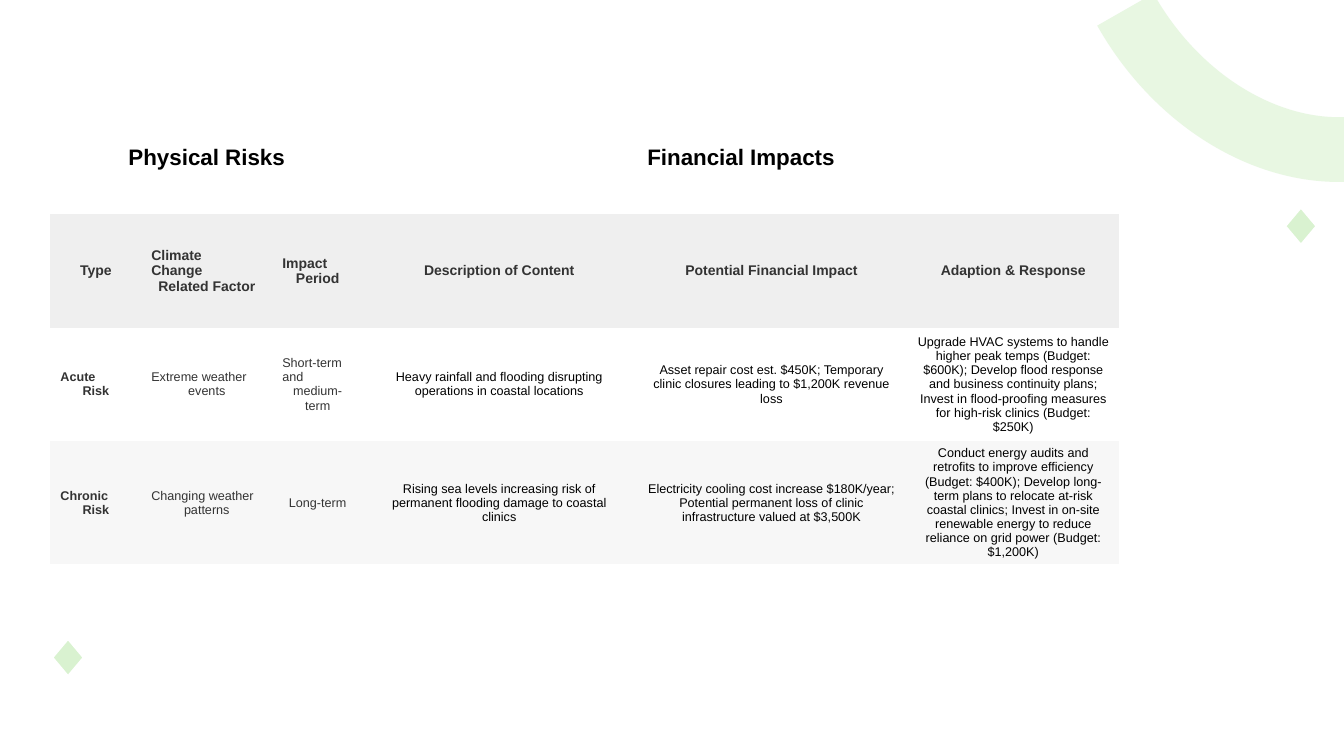
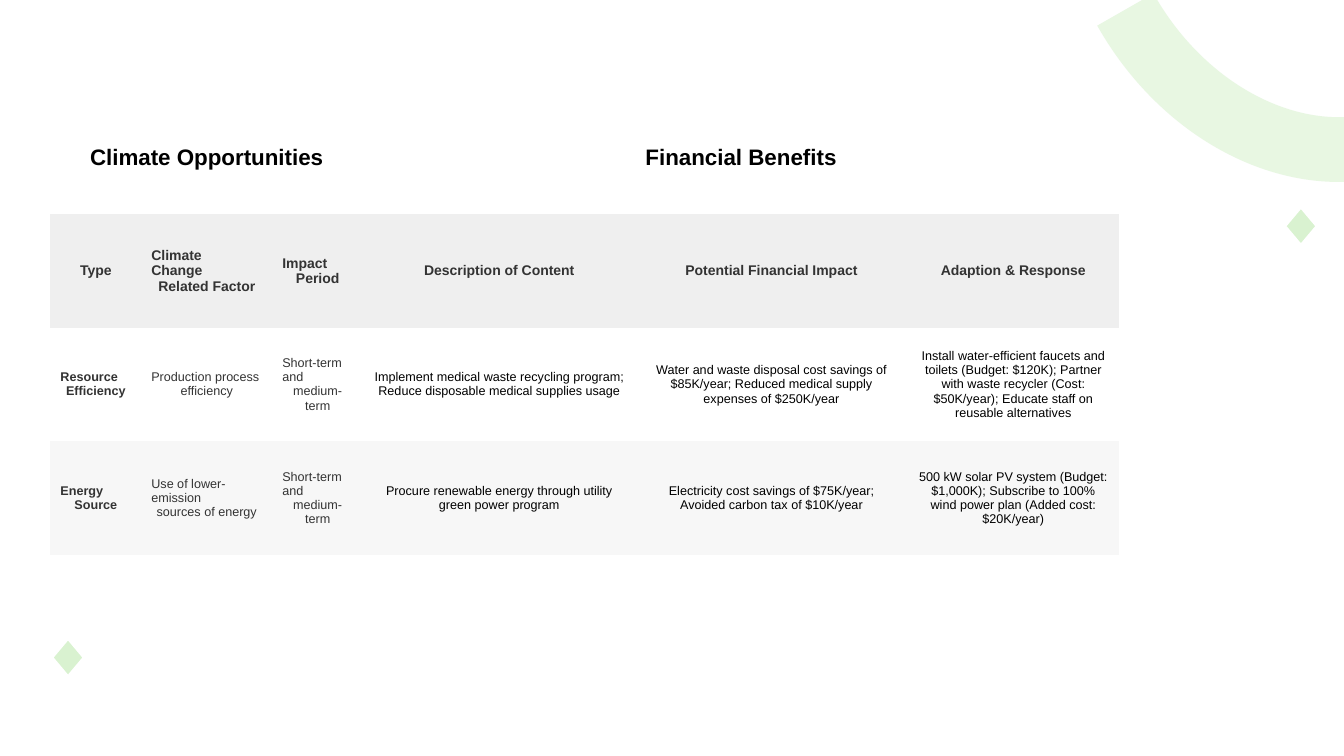
from dataclasses import dataclass

from lxml.etree import SubElement
from pptx import Presentation
from pptx.dml.color import RGBColor
from pptx.enum.shapes import MSO_SHAPE
from pptx.enum.text import MSO_ANCHOR, PP_ALIGN
from pptx.oxml.ns import qn
from pptx.slide import Slide, SlideLayout
from pptx.table import _Cell
from pptx.util import Cm, Pt

COLORS = {
    "white": "FFFFFF",
    "black": "000000",
    "charcoal": "333333",
    "header": "EFEFEF",
    "band": "F7F7F7",
    "mint": "D9F2D0",
}
FONT = "Arial"
PLAIN_TABLE_STYLE = "{2D5ABB26-0587-4C30-8999-92F81FD0307C}"
COLUMN_WIDTHS = (2.29, 3.3, 2.29, 6.86, 6.86, 5.33)
ROW_HEIGHT = 2.86
LABEL_COLUMNS = 3
HEADINGS = (
    "Type",
    "Climate\nChange\nRelated Factor",
    "Impact\nPeriod",
    "Description of Content",
    "Potential Financial Impact",
    "Adaption & Response",
)


@dataclass(frozen=True)
class Diamond:
    left: float
    top: float


@dataclass(frozen=True)
class RiskTable:
    left_title: str
    right_title: str
    rows: tuple[tuple[str, ...], ...]


DIAMONDS = (Diamond(32.39, 5.23), Diamond(1.32, 16.1))

TABLES = (
    RiskTable(
        "Physical Risks",
        "Financial Impacts",
        (
            (
                "Acute\nRisk",
                "Extreme weather\nevents",
                "Short-term\nand\nmedium-term",
                "Heavy rainfall and flooding disrupting operations in coastal locations",
                "Asset repair cost est. $450K; Temporary clinic closures leading to "
                "$1,200K revenue loss",
                "Upgrade HVAC systems to handle higher peak temps (Budget: $600K); "
                "Develop flood response and business continuity plans; Invest in "
                "flood-proofing measures for high-risk clinics (Budget: $250K)",
            ),
            (
                "Chronic\nRisk",
                "Changing weather\npatterns",
                "Long-term",
                "Rising sea levels increasing risk of permanent flooding damage to "
                "coastal clinics",
                "Electricity cooling cost increase $180K/year; Potential permanent "
                "loss of clinic infrastructure valued at $3,500K",
                "Conduct energy audits and retrofits to improve efficiency (Budget: "
                "$400K); Develop long-term plans to relocate at-risk coastal clinics; "
                "Invest in on-site renewable energy to reduce reliance on grid power "
                "(Budget: $1,200K)",
            ),
        ),
    ),
    RiskTable(
        "Climate Opportunities",
        "Financial Benefits",
        (
            (
                "Resource\nEfficiency",
                "Production process\nefficiency",
                "Short-term\nand\nmedium-term",
                "Implement medical waste recycling program; Reduce disposable medical "
                "supplies usage",
                "Water and waste disposal cost savings of $85K/year; Reduced medical "
                "supply expenses of $250K/year",
                "Install water-efficient faucets and toilets (Budget: $120K); Partner "
                "with waste recycler (Cost: $50K/year); Educate staff on reusable "
                "alternatives",
            ),
            (
                "Energy\nSource",
                "Use of lower-emission\nsources of energy",
                "Short-term\nand\nmedium-term",
                "Procure renewable energy through utility green power program",
                "Electricity cost savings of $75K/year; Avoided carbon tax of $10K/year",
                "500 kW solar PV system (Budget: $1,000K); Subscribe to 100% wind power "
                "plan (Added cost: $20K/year)",
            ),
        ),
    ),
)


def color(name: str) -> RGBColor:
    return RGBColor.from_string(COLORS[name])


def write_cell(
    cell: _Cell,
    text: str,
    *,
    size: float,
    fill: str,
    font_color: str = "black",
    bold: bool = False,
) -> None:
    cell.fill.solid()
    cell.fill.fore_color.rgb = color(fill)
    cell.vertical_anchor = MSO_ANCHOR.MIDDLE
    lines = text.split("\n")
    for index, line in enumerate(lines):
        frame = cell.text_frame
        paragraph = frame.paragraphs[0] if index == 0 else frame.add_paragraph()
        is_last = index == len(lines) - 1
        paragraph.alignment = PP_ALIGN.CENTER if is_last else PP_ALIGN.LEFT
        run = paragraph.add_run()
        run.text = line
        run.font.name = FONT
        run.font.size = Pt(size)
        run.font.bold = bold
        run.font.color.rgb = color(font_color)


def add_arc(slide: Slide) -> None:
    arc = slide.shapes.add_shape(
        MSO_SHAPE.ARC, Cm(27.69), Cm(-8.59), Cm(10.16), Cm(12.62)
    )
    arc.shadow.inherit = False
    arc.adjustments[0] = 152.05
    arc.adjustments[1] = 215.37
    arc.rotation = 151.3
    arc.fill.background()
    arc.line.width = Pt(46.25)
    arc.line.color.rgb = color("mint")
    line_color = arc.element.spPr.find(qn("a:ln")).find(".//" + qn("a:srgbClr"))
    SubElement(line_color, qn("a:alpha"), val="60000")


def add_diamond(slide: Slide, diamond: Diamond) -> None:
    shape = slide.shapes.add_shape(
        MSO_SHAPE.DIAMOND, Cm(diamond.left), Cm(diamond.top), Cm(0.79), Cm(0.94)
    )
    shape.shadow.inherit = False
    shape.fill.solid()
    shape.fill.fore_color.rgb = color("mint")
    shape.line.color.rgb = color("white")
    shape.line.width = Pt(1.5)


def decorate_layout(slide: Slide, layout: SlideLayout) -> None:
    for placeholder in list(layout.placeholders):
        layout.shapes.element.remove(placeholder.element)
    add_arc(slide)
    for diamond in DIAMONDS:
        add_diamond(slide, diamond)
    for shape in list(slide.shapes):
        layout.shapes.element.append(shape.element)


def add_risk_table(slide: Slide, content: RiskTable) -> None:
    row_count = len(content.rows) + 2
    graphic_frame = slide.shapes.add_table(
        row_count,
        len(COLUMN_WIDTHS),
        Cm(1.27),
        Cm(2.54),
        Cm(sum(COLUMN_WIDTHS)),
        Cm(ROW_HEIGHT * row_count),
    )
    table = graphic_frame.table
    table.first_row = False
    table.horz_banding = False
    graphic_frame.element.find(".//" + qn("a:tableStyleId")).text = PLAIN_TABLE_STYLE
    for column, width in zip(table.columns, COLUMN_WIDTHS):
        column.width = Cm(width)
    for row in table.rows:
        row.height = Cm(ROW_HEIGHT)

    for start, title in ((0, content.left_title), (LABEL_COLUMNS, content.right_title)):
        title_cell = table.cell(0, start)
        title_cell.merge(table.cell(0, start + 2))
        write_cell(title_cell, title, size=16, fill="white", bold=True)

    for column_index, heading in enumerate(HEADINGS):
        write_cell(
            table.cell(1, column_index),
            heading,
            size=10,
            fill="header",
            font_color="charcoal",
            bold=True,
        )

    for row_index, texts in enumerate(content.rows):
        for column_index, text in enumerate(texts):
            write_cell(
                table.cell(row_index + 2, column_index),
                text,
                size=9,
                fill="band" if row_index % 2 else "white",
                font_color="charcoal" if column_index < LABEL_COLUMNS else "black",
                bold=column_index == 0,
            )


def main() -> None:
    presentation = Presentation()
    presentation.slide_width = Cm(33.87)
    presentation.slide_height = Cm(19.05)
    layout = presentation.slide_layouts[6]
    slides = [presentation.slides.add_slide(layout) for _ in TABLES]
    for slide in slides:
        for placeholder in list(slide.placeholders):
            slide.shapes.element.remove(placeholder.element)
    decorate_layout(slides[0], layout)
    for slide, content in zip(slides, TABLES):
        add_risk_table(slide, content)
    presentation.save("out.pptx")


if __name__ == "__main__":
    main()
